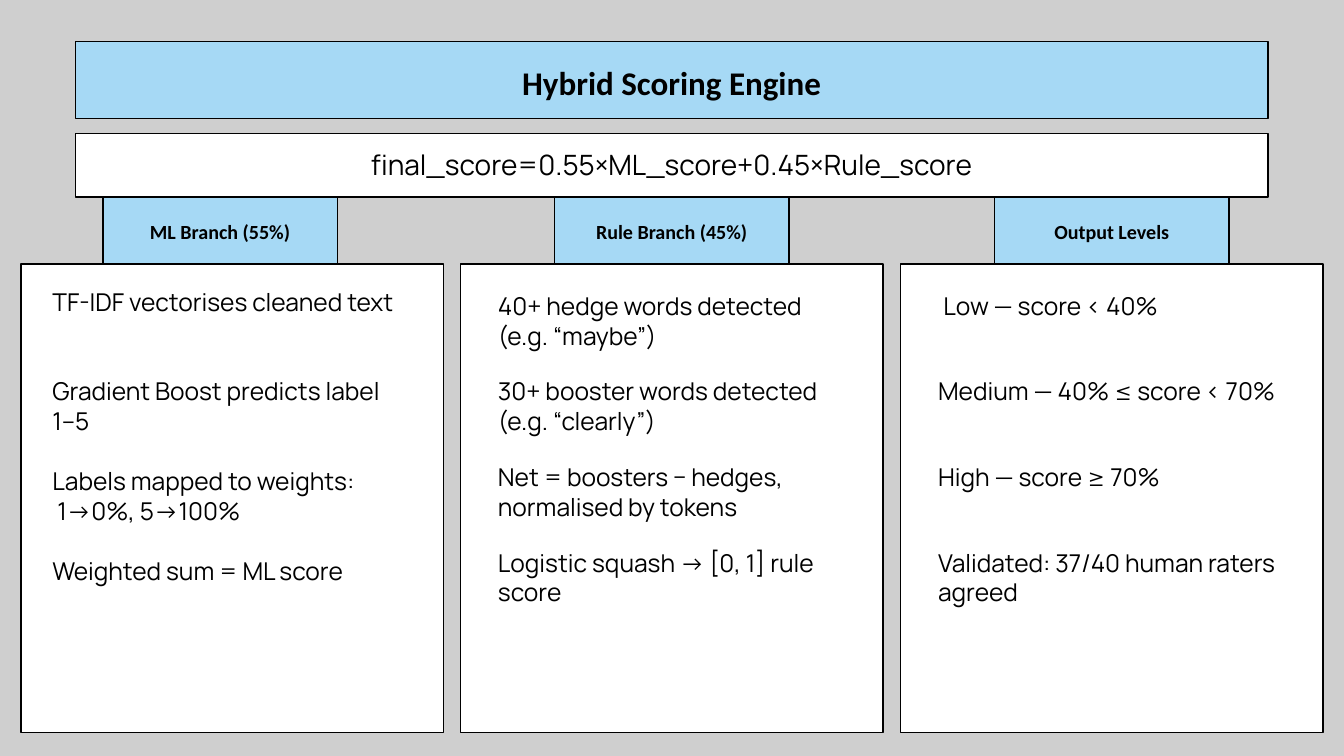
from dataclasses import dataclass

import pptx
import pptx.dml.color
import pptx.enum.shapes
import pptx.enum.text
import pptx.util

PX = 9144
ROWS = 4


@dataclass(frozen=True)
class Style:
    font: str
    size: float
    lead: float
    bold: bool = False


@dataclass(frozen=True)
class Theme:
    back: str = "CFCFCF"
    blue: str = "A6D9F5"
    white: str = "FFFFFF"
    ink: str = "000000"
    line: float = 1.5
    title: Style = Style("Calibri", 35.4, 49.6, True)
    rule: Style = Style("Manrope", 30, 36)
    tab: Style = Style("Calibri", 21.5, 30.1, True)
    body: Style = Style("Manrope", 26.3, 31.6)


@dataclass(frozen=True)
class Box:
    left: int
    top: int
    width: int
    height: int


@dataclass(frozen=True)
class Note:
    text: str
    height: int = 90
    shift: int = 0


@dataclass(frozen=True)
class Branch:
    name: str
    left: int
    tab: int
    text: int
    first: int
    last: int
    notes: tuple[Note, ...]


THEME = Theme()
BRANCHES = (
    Branch("ML Branch (55%)", 31, 153, 78, 427, 827, (
        Note("TF-IDF vectorises cleaned text"),
        Note("Gradient Boost predicts label 1–5"),
        Note("Labels mapped to weights:\n 1→0%, 5→100%"),
        Note("Weighted sum = ML score"),
    )),
    Branch("Rule Branch (45%)", 685, 825, 741, 433, 815, (
        Note("40+ hedge words detected (e.g. “maybe”)"),
        Note("30+ booster words detected (e.g. “clearly”)"),
        Note("Net = boosters − hedges, normalised by tokens"),
        Note("Logistic squash → [0, 1] rule score", height=133),
    )),
    Branch("Output Levels", 1340, 1480, 1396, 433, 815, (
        Note("Low — score < 40%", height=46, shift=8),
        Note("Medium — 40% ≤ score < 70%"),
        Note("High — score ≥ 70%", height=46),
        Note("Validated: 37/40 human raters agreed"),
    )),
)


def rgb(code: str) -> pptx.dml.color.RGBColor:
    return pptx.dml.color.RGBColor.from_string(code)


def place(box: Box) -> tuple[int, ...]:
    return tuple(n * PX for n in (box.left, box.top, box.width, box.height))


def write(frame, text: str, style: Style, align) -> None:
    frame.word_wrap = True
    frame.text = text
    for par in frame.paragraphs:
        par.alignment = align
        par.line_spacing = pptx.util.Pt(style.lead)
        par.font.name = style.font
        par.font.size = pptx.util.Pt(style.size)
        par.font.bold = style.bold
        par.font.color.rgb = rgb(THEME.ink)


def panel(slide, box: Box, fill: str):
    shape = slide.shapes.add_shape(
        pptx.enum.shapes.MSO_SHAPE.RECTANGLE, *place(box))
    shape.shadow.inherit = False
    shape.fill.solid()
    shape.fill.fore_color.rgb = rgb(fill)
    shape.line.color.rgb = rgb(THEME.ink)
    shape.line.width = pptx.util.Pt(THEME.line)
    return shape


def banner(slide, box: Box, fill: str, text: str, style: Style) -> None:
    frame = panel(slide, box, fill).text_frame
    frame.margin_left = frame.margin_right = frame.margin_top = 6 * PX
    frame.margin_bottom = 8 * PX
    frame.vertical_anchor = pptx.enum.text.MSO_ANCHOR.MIDDLE
    write(frame, text, style, pptx.enum.text.PP_ALIGN.CENTER)


def label(slide, box: Box, text: str) -> None:
    frame = slide.shapes.add_textbox(*place(box)).text_frame
    frame.margin_left = frame.margin_right = 0
    frame.margin_top = frame.margin_bottom = 0
    write(frame, text, THEME.body, pptx.enum.text.PP_ALIGN.LEFT)


def column(slide, branch: Branch) -> None:
    panel(slide, Box(branch.left, 393, 629, 697), THEME.white)
    banner(slide, Box(branch.tab, 293, 349, 100), THEME.blue,
           branch.name, THEME.tab)
    step = (branch.last - branch.first) / (ROWS - 1)
    for row, note in enumerate(branch.notes):
        top = round(branch.first + row * step)
        label(slide, Box(branch.text + note.shift, top, 517, note.height),
              note.text)


def main() -> None:
    deck = pptx.Presentation()
    deck.slide_width = 2000 * PX
    deck.slide_height = 1125 * PX
    slide = deck.slides.add_slide(deck.slide_layouts[6])
    slide.background.fill.solid()
    slide.background.fill.fore_color.rgb = rgb(THEME.back)

    banner(slide, Box(112, 62, 1775, 114), THEME.blue,
           "Hybrid Scoring Engine", THEME.title)
    banner(slide, Box(112, 199, 1775, 94), THEME.white,
           "final_score=0.55×ML_score+0.45×Rule_score", THEME.rule)
    for branch in BRANCHES:
        column(slide, branch)
    deck.save("out.pptx")


if __name__ == "__main__":
    main()
